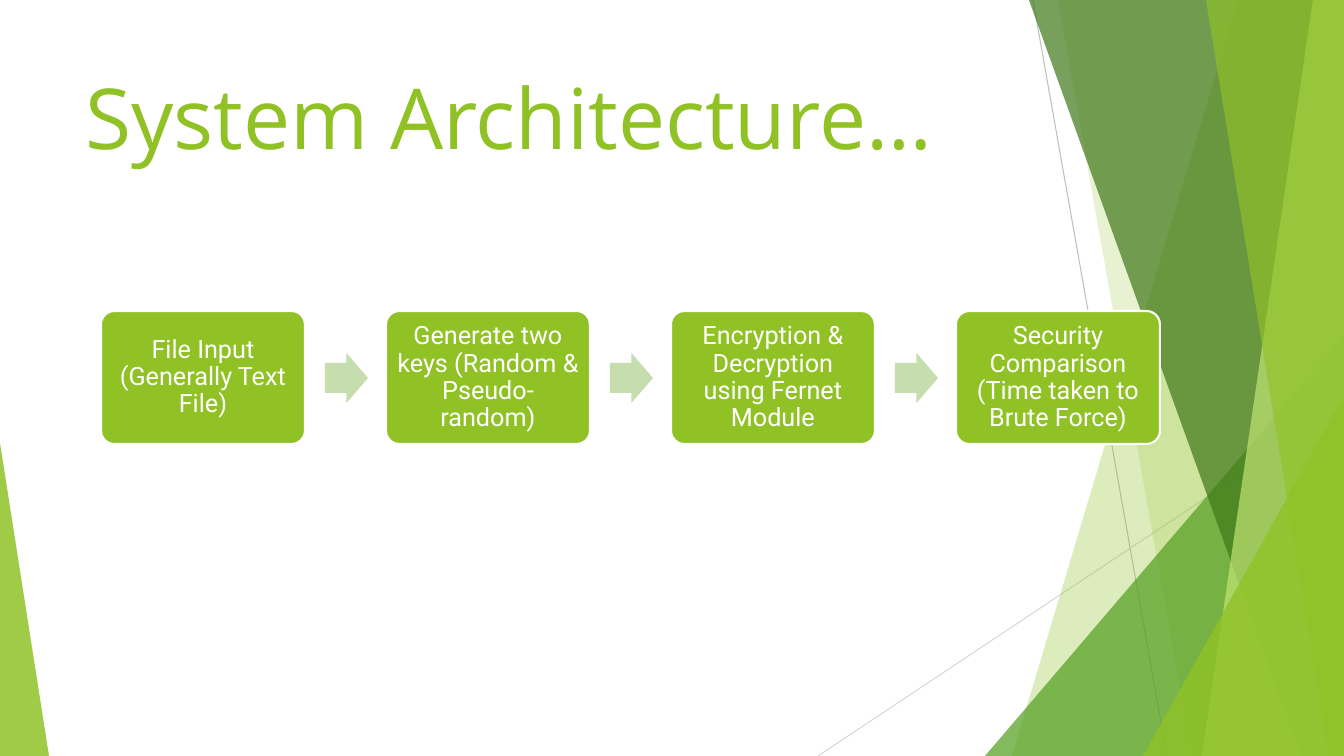
"""Build the System Architecture slide: faceted backdrop, title and a four-step flow."""
from lxml import etree
from pptx import Presentation, util as u
from pptx.dml.color import RGBColor
from pptx.enum import shapes, text
from pptx.oxml import ns

PX = u.Inches(1) / 100.8
WIDE, HIGH = 1344, 756
LIME = RGBColor(0x90, 0xC2, 0x26)
GREEN = RGBColor(0x54, 0xA0, 0x21)
DARK = RGBColor(0x3F, 0x78, 0x19)
LIGHT = RGBColor(0xC0, 0xE4, 0x74)
PALE = RGBColor(0xC6, 0xDD, 0xAD)
GREY = RGBColor(0xBF, 0xBF, 0xBF)
SILVER = RGBColor(0xD9, 0xD9, 0xD9)
WHITE = RGBColor(0xFF, 0xFF, 0xFF)


def px(*sizes):
    """Turn pixel lengths into EMU."""
    return [u.Emu(round(size * PX)) for size in sizes]


def paint(shape, color, alpha=100):
    """Give a shape a flat fill with no line or shadow."""
    shape.shadow.inherit = False
    shape.line.fill.background()
    shape.fill.solid()
    shape.fill.fore_color.rgb = color
    if alpha < 100:
        tone = shape.fill._xPr.find(".//" + ns.qn("a:srgbClr"))
        etree.SubElement(tone, ns.qn("a:alpha"), val=str(alpha * 1000))


deck = Presentation()
deck.slide_width, deck.slide_height = px(WIDE, HIGH)
slide = deck.slides.add_slide(deck.slide_layouts[5])
parts = slide.shapes

rays = [
    (1033, 0, 1167, HIGH, GREY),
    (WIDE, 406, 818, HIGH, SILVER),
]
for *ends, color in rays:
    ray = parts.add_connector(shapes.MSO_CONNECTOR.STRAIGHT, *px(*ends))
    ray.line.color.rgb = color
    ray.line.width = u.Pt(0.75)
    etree.SubElement(ray._element.spPr, ns.qn("a:effectLst"))

facets = [
    ("panel", (1238, 1012), LIME, 30),
    ("panel", (1058, 1192), LIME, 20),
    ("wedge", (985, 336, 359, 1), GREEN, 72),
    ("panel", (1029, 1301), DARK, 70),
    ("panel", (1313, 1202), LIGHT, 70),
    ("panel", (1206, 1329), LIME, 65),
    ("wedge", (1143, 396, 201, 1), LIME, 80),
    ("wedge", (0, 443, 49, 0), LIME, 85),
]
for kind, place, color, alpha in facets:
    if kind == "panel":
        top, base = place
        form = parts.build_freeform(top, 0, scale=PX)
        form.add_line_segments([(WIDE, 0), (WIDE, HIGH), (base, HIGH)])
        facet = form.convert_to_shape()
    else:
        left, top, width, peak = place
        facet = parts.add_shape(shapes.MSO_SHAPE.ISOSCELES_TRIANGLE,
                                *px(left, top, width, HIGH - top))
        facet.adjustments[0] = peak
    paint(facet, color, alpha)

title = parts.title
title.left, title.top, title.width, title.height = px(75, 68, 948, 145)
frame = title.text_frame
frame.word_wrap = True
frame.auto_size = text.MSO_AUTO_SIZE.NONE
frame.vertical_anchor = text.MSO_ANCHOR.TOP
line = frame.paragraphs[0]
line.alignment = text.PP_ALIGN.LEFT
line.line_spacing = 0.95
run = line.add_run()
run.text = "System Architecture…"
run.font.name = "Open Sans"
run.font.size = u.Pt(60)
run.font.color.rgb = LIME

steps = [
    "File Input (Generally Text File)",
    "Generate two keys (Random & Pseudo-random)",
    "Encryption & Decryption using Fernet Module",
    "Security Comparison (Time taken to Brute Force)",
]
for i, step in enumerate(steps):
    left = 101 + 285 * i
    box = parts.add_shape(shapes.MSO_SHAPE.ROUNDED_RECTANGLE, *px(left, 311, 204, 133))
    box.adjustments[0] = 0.1
    paint(box, LIME)
    box.line.color.rgb = WHITE
    box.line.width = u.Pt(1.5)
    frame = box.text_frame
    frame.word_wrap = True
    frame.vertical_anchor = text.MSO_ANCHOR.MIDDLE
    (frame.margin_left, frame.margin_top,
     frame.margin_right, frame.margin_bottom) = px(7, 7, 7, 7)
    line = frame.paragraphs[0]
    line.alignment = text.PP_ALIGN.CENTER
    line.line_spacing = 0.9
    run = line.add_run()
    run.text = step
    run.font.name = "Roboto"
    run.font.size = u.Pt(18)
    run.font.color.rgb = WHITE
    if i < len(steps) - 1:
        arrow = parts.add_shape(shapes.MSO_SHAPE.RIGHT_ARROW, *px(left + 224, 353, 43, 50))
        arrow.adjustments[0] = 0.6
        arrow.adjustments[1] = 0.5
        paint(arrow, PALE)

deck.save("out.pptx")
